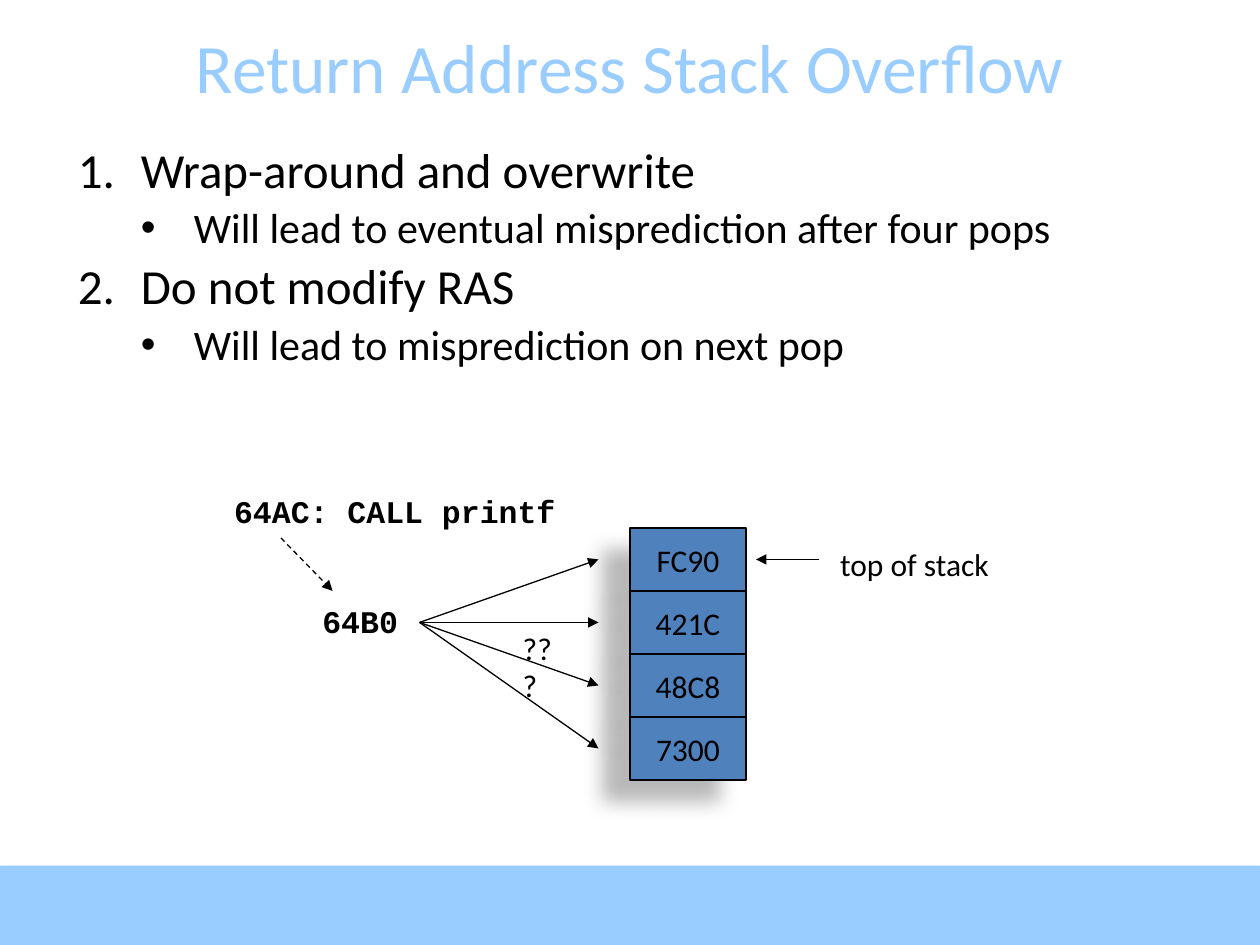
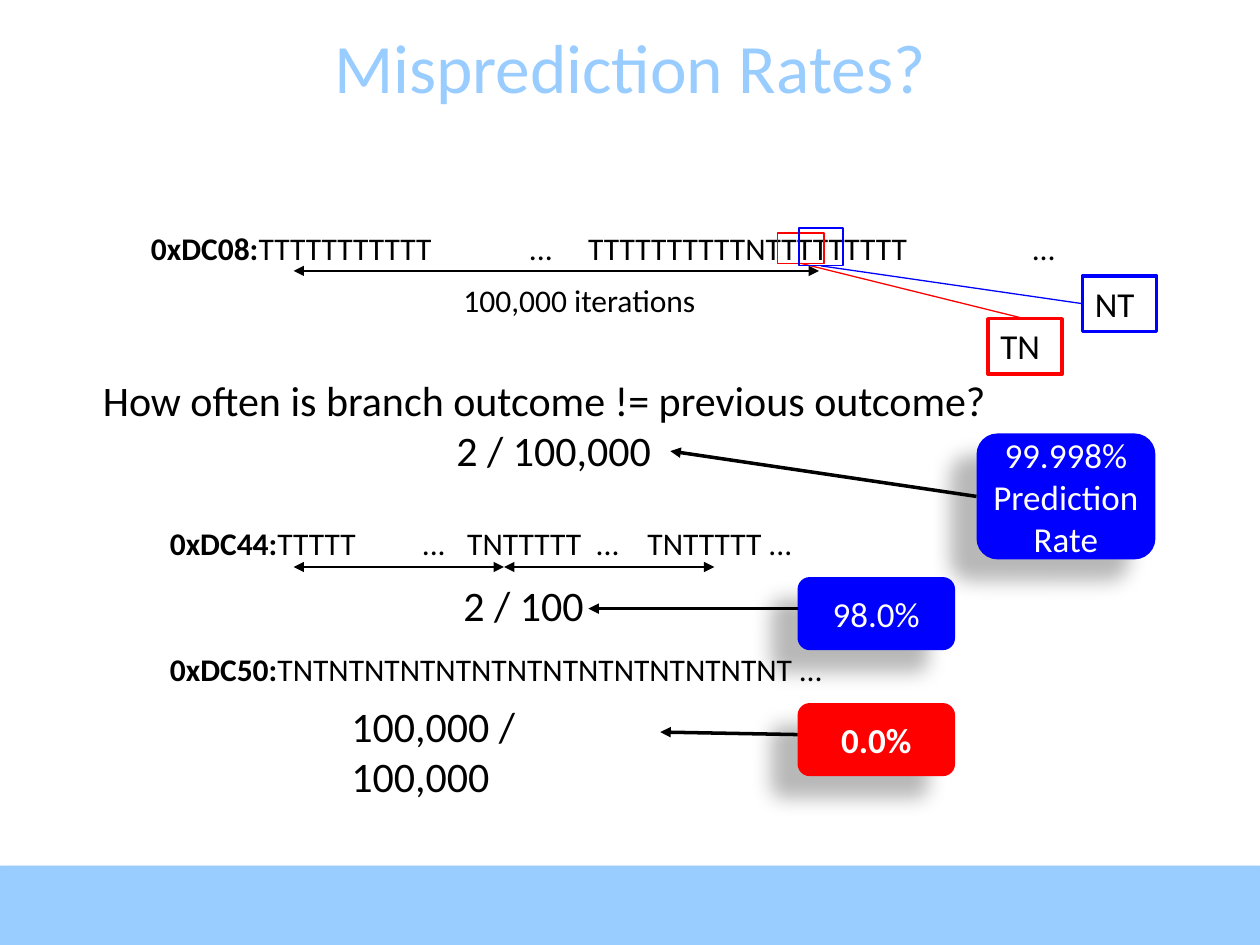
"""Build two slides on return address stacks and branch misprediction rates."""
import dataclasses

import lxml.etree
import pptx
import pptx.dml.color
import pptx.enum.dml
import pptx.enum.shapes
import pptx.enum.text
import pptx.oxml.ns
import pptx.util

Inches = pptx.util.Inches
Pt = pptx.util.Pt
qn = pptx.oxml.ns.qn
ALIGN = pptx.enum.text.PP_ALIGN
ANCHOR = pptx.enum.text.MSO_ANCHOR
SHAPE = pptx.enum.shapes.MSO_SHAPE
TOP, LEFT, BOTTOM = 0, 1, 2


@dataclasses.dataclass(frozen=True)
class Theme:
    sky: str = "99CCFF"
    steel: str = "4F81BD"
    black: str = "000000"
    white: str = "FFFFFF"
    red: str = "FF0000"
    blue: str = "0000FF"
    sans: str = "Calibri"
    mono: str = "Courier New"
    title: float = 39.6
    point: float = 28
    large: float = 24
    badge: float = 20
    label: float = 18
    thin: float = 0.75
    thick: float = 2
    band_shadow: tuple = (35, 3.1, 1.8, 90)
    box_shadow: tuple = (28, 11.8, 19.7, 141)


THEME = Theme()

OVERFLOW_TITLE = "Return Address Stack Overflow"
OVERFLOW_POINTS = [
    (0, "Wrap-around and overwrite"),
    (1, "Will lead to eventual misprediction after four pops"),
    (0, "Do not modify RAS"),
    (1, "Will lead to misprediction on next pop"),
]
POINT_LEVELS = [
    {"size": THEME.point, "margin": 0.5, "hanging": 0.5,
     "bullet": ("a:buAutoNum", {"type": "arabicPeriod"})},
    {"size": THEME.large, "margin": 0.92, "hanging": 0.42,
     "bullet": ("a:buChar", {"char": "•"})},
]
STACK_ENTRIES = ["FC90", "421C", "48C8", "7300"]
STACK_LEFT, STACK_TOP, ENTRY_WIDTH, ENTRY_HEIGHT = 5, 4.19, 0.92, 0.5
RETURN_POINT = (3.33, 4.94)
OVERFLOW_LABELS = [
    ("top of stack", (6.57, 4.28, 1.4, 0.4), {}),
    ("64AC: CALL printf", (1.76, 3.86, 2.76, 0.4), {"font": THEME.mono, "bold": True}),
    ("64B0", (2.46, 4.73, 0.81, 0.4), {"font": THEME.mono, "bold": True}),
    ("???", (4.05, 4.94, 0.45, 0.4), {"wrap": True}),
]

RATES_TITLE = "Misprediction Rates?"
BRANCH_TRACES = [
    ("0xDC08:", "TTTTTTTTTTT\t...\tTTTTTTTTTTNTTTTTTTTT\t…",
     (1.1, 1.77, 7.67, 0.4), (3, 3.47, 7)),
    ("0xDC44:", "TTTTT\t...\tTNTTTTT\t...\tTNTTTTT ...",
     (1.25, 4.11, 5.54, 0.4), (2, 2.36, 3.38, 3.79)),
    ("0xDC50:", "TNTNTNTNTNTNTNTNTNTNTNTNTNTNT\t…",
     (1.25, 5.11, 6.51, 0.4), (5,)),
]
ITERATION_SPANS = [(2.33, 6.5, 2.15), (2.33, 4, 4.5), (4, 5.67, 4.5)]
RATES_LABELS = [
    ("100,000 iterations", (3.58, 2.18, 2.05, 0.4), {}),
    ("2 / 100", (3.58, 4.55, 1.16, 0.51), {"size": THEME.large}),
    ("100,000 / 100,000", (2.69, 5.51, 2.3, 0.91), {"size": THEME.large, "wrap": True}),
]
QUESTION = ["How often is branch outcome != previous outcome?", "2 / 100,000"]
OUTCOME_PAIRS = [
    ("TN", THEME.red, (6.17, 1.85, 0.37, 0.24), (7.84, 2.53, 0.59, 0.44), TOP),
    ("NT", THEME.blue, (6.34, 1.81, 0.35, 0.3), (8.59, 2.19, 0.59, 0.44), LEFT),
]
PREDICTION_BADGES = [
    (["99.998%", "Prediction", "Rate"], THEME.blue, False, (7.75, 3.44, 1.42, 1),
     (7.75, 3.94), (5.32, 3.58), True),
    (["98.0%"], THEME.blue, False, (6.33, 4.58, 1.25, 0.58),
     (6.33, 4.83), (4.67, 4.83), False),
    (["0.0%"], THEME.red, True, (6.33, 5.58, 1.25, 0.58),
     (6.33, 5.83), (5.24, 5.81), False),
]


def rgb(color):
    return pptx.dml.color.RGBColor.from_string(color)


def apply_format(target, values):
    for name, value in values.items():
        setattr(target, name, value)


def add_element(parent, tag, **attributes):
    element = lxml.etree.SubElement(parent, qn(tag))
    for name, value in attributes.items():
        element.set(name, str(value))
    return element


def add_run(paragraph, text, size, color=THEME.black, font=THEME.sans, bold=False):
    run = paragraph.add_run()
    run.text = text
    apply_format(run.font, {"size": Pt(size), "name": font, "bold": bold})
    run.font.color.rgb = rgb(color)


def set_frame(shape, wrap, anchor):
    apply_format(shape.text_frame, {"word_wrap": wrap, "vertical_anchor": anchor})


def write_lines(shape, lines, align=ALIGN.LEFT, **style):
    frame = shape.text_frame
    for index, line in enumerate(lines):
        paragraph = frame.add_paragraph() if index else frame.paragraphs[0]
        paragraph.alignment = align
        add_run(paragraph, line, **style)


def add_text_box(slide, bounds, wrap=False, anchor=ANCHOR.TOP):
    shape = slide.shapes.add_textbox(*map(Inches, bounds))
    set_frame(shape, wrap, anchor)
    return shape


def add_label(slide, text, bounds, size=THEME.label, wrap=False, **style):
    write_lines(add_text_box(slide, bounds, wrap), [text], size=size, **style)


def add_box(slide, bounds, kind=SHAPE.RECTANGLE, fill=None, line=None,
            width=THEME.thin, shadow=None):
    shape = slide.shapes.add_shape(kind, *map(Inches, bounds))
    shape.shadow.inherit = False
    if fill:
        shape.fill.solid()
        shape.fill.fore_color.rgb = rgb(fill)
    else:
        shape.fill.background()
    if line:
        shape.line.color.rgb = rgb(line)
        shape.line.width = Pt(width)
    else:
        shape.line.fill.background()
    if shadow:
        opacity, blur, distance, angle = shadow
        effects = shape.element.spPr.find(qn("a:effectLst"))
        outer = add_element(effects, "a:outerShdw", blurRad=Pt(blur), dist=Pt(distance),
                            dir=angle * 60000, rotWithShape=0)
        color = add_element(outer, "a:srgbClr", val=THEME.black)
        add_element(color, "a:alpha", val=opacity * 1000)
    set_frame(shape, False, ANCHOR.MIDDLE)
    return shape


def add_line(slide, start, end, color=THEME.black, width=THEME.thin, dash=None,
             arrows=("a:tailEnd",)):
    connector = slide.shapes.add_connector(
        pptx.enum.shapes.MSO_CONNECTOR.STRAIGHT, *map(Inches, (*start, *end)))
    connector.line.color.rgb = rgb(color)
    apply_format(connector.line, {"width": Pt(width), "dash_style": dash})
    properties = connector.element.spPr
    for arrow in arrows:
        add_element(properties.find(qn("a:ln")), arrow, type="triangle")
    add_element(properties, "a:effectLst")
    return connector


def add_slide(presentation, title):
    slide = presentation.slides.add_slide(presentation.slide_layouts[6])
    add_box(slide, (0, 6.87, 10, 0.63), fill=THEME.sky, shadow=THEME.band_shadow)
    shape = add_text_box(slide, (0, 0.21, 10, 0.63), True, ANCHOR.MIDDLE)
    write_lines(shape, [title], ALIGN.CENTER, size=THEME.title, color=THEME.sky)
    return slide


def add_points(slide):
    frame = add_text_box(slide, (0.52, 1.11, 9, 5.56), True).text_frame
    for index, (depth, text) in enumerate(OVERFLOW_POINTS):
        level = POINT_LEVELS[depth]
        paragraph = frame.add_paragraph() if index else frame.paragraphs[0]
        apply_format(paragraph, {
            "level": depth, "line_spacing": 0.9,
            "space_before": Pt(0.2 * level["size"] if index else 0)})
        properties = paragraph._p.get_or_add_pPr()
        properties.set("marL", str(Inches(level["margin"])))
        properties.set("indent", str(Inches(-level["hanging"])))
        tag, attributes = level["bullet"]
        add_element(properties, "a:buFont", typeface="Arial" if depth else "+mj-lt")
        add_element(properties, tag, **attributes)
        add_run(paragraph, text, level["size"])


def add_trace(slide, address, outcomes, bounds, tab_stops):
    paragraph = add_text_box(slide, bounds, True).text_frame.paragraphs[0]
    tabs = add_element(paragraph._p.get_or_add_pPr(), "a:tabLst")
    for stop in tab_stops:
        add_element(tabs, "a:tab", pos=Inches(stop), algn="l")
    add_run(paragraph, address, THEME.label, bold=True)
    add_run(paragraph, outcomes, THEME.label)


def build_overflow_slide(presentation):
    slide = add_slide(presentation, OVERFLOW_TITLE)
    add_points(slide)
    for index, entry in enumerate(STACK_ENTRIES):
        top = STACK_TOP + index * ENTRY_HEIGHT
        box = add_box(slide, (STACK_LEFT, top, ENTRY_WIDTH, ENTRY_HEIGHT),
                      fill=THEME.steel, line=THEME.black, shadow=THEME.box_shadow)
        write_lines(box, [entry], ALIGN.CENTER, size=THEME.label)
        add_line(slide, RETURN_POINT, (STACK_LEFT - 0.25, top + ENTRY_HEIGHT / 2))
    add_line(slide, (6.5, 4.44), (6, 4.44))
    add_line(slide, (2.23, 4.27), (2.64, 4.69), dash=pptx.enum.dml.MSO_LINE.DASH)
    for text, bounds, style in OVERFLOW_LABELS:
        add_label(slide, text, bounds, **style)


def build_rates_slide(presentation):
    slide = add_slide(presentation, RATES_TITLE)
    for trace in BRANCH_TRACES:
        add_trace(slide, *trace)
    for left, right, height in ITERATION_SPANS:
        add_line(slide, (left, height), (right, height), arrows=("a:headEnd", "a:tailEnd"))
    for text, bounds, style in RATES_LABELS:
        add_label(slide, text, bounds, **style)
    question = add_text_box(slide, (0.64, 2.92, 7.36, 0.91))
    write_lines(question, QUESTION, ALIGN.CENTER, size=THEME.large)
    answer = question.text_frame.paragraphs[1]._p.get_or_add_pPr()
    answer.set("marL", str(Inches(0.15)))
    for text, color, window, bounds, side in OUTCOME_PAIRS:
        marker = add_box(slide, window, line=color)
        box = add_box(slide, bounds, line=color, width=THEME.thick)
        set_frame(box, False, ANCHOR.TOP)
        write_lines(box, [text], size=THEME.badge)
        connector = add_line(slide, bounds[:2], window[:2], color, arrows=())
        connector.begin_connect(box, side)
        connector.end_connect(marker, BOTTOM)
    for lines, fill, bold, bounds, start, end, joined in PREDICTION_BADGES:
        badge = add_box(slide, bounds, SHAPE.ROUNDED_RECTANGLE, fill=fill,
                        shadow=THEME.box_shadow)
        write_lines(badge, lines, ALIGN.CENTER, size=THEME.badge,
                    color=THEME.white, bold=bold)
        connector = add_line(slide, start, end, width=THEME.thick)
        if joined:
            connector.begin_connect(badge, LEFT)


def main():
    presentation = pptx.Presentation()
    apply_format(presentation, {"slide_width": Inches(10), "slide_height": Inches(7.5)})
    build_overflow_slide(presentation)
    build_rates_slide(presentation)
    presentation.save("out.pptx")


if __name__ == "__main__":
    main()
